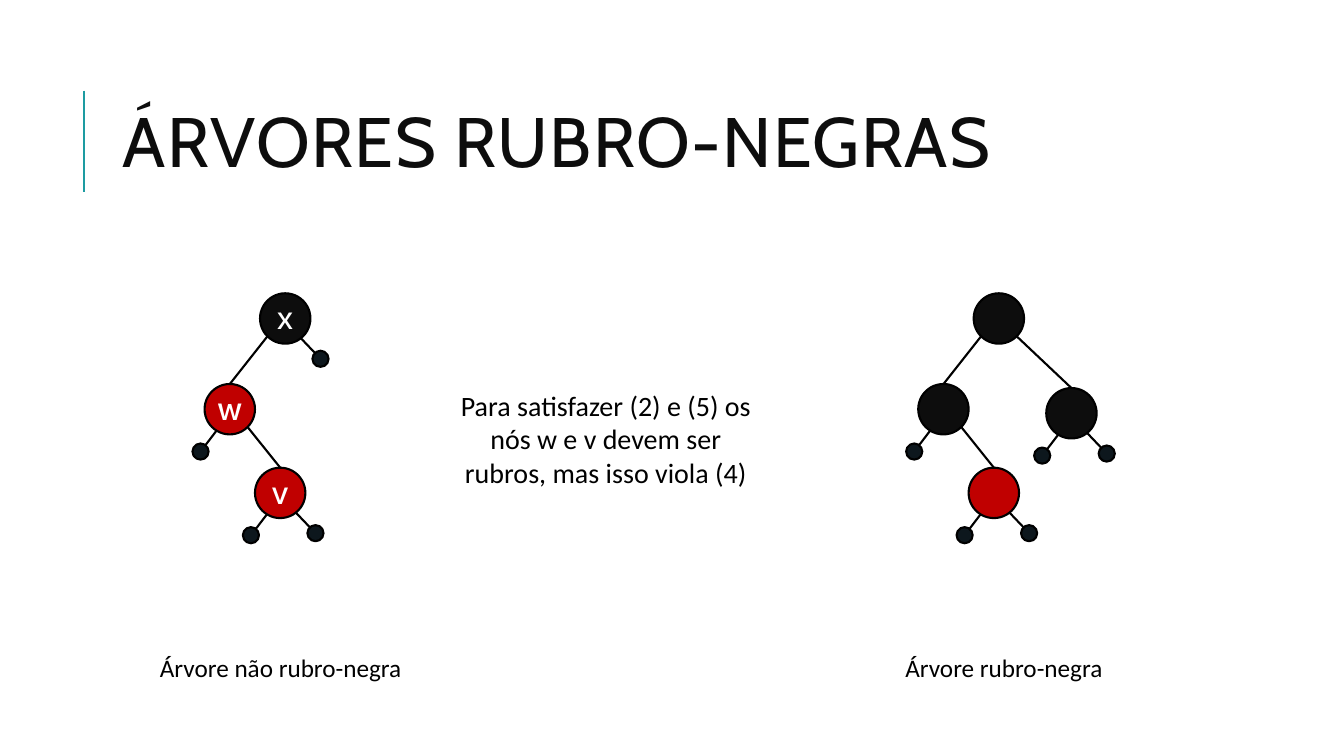
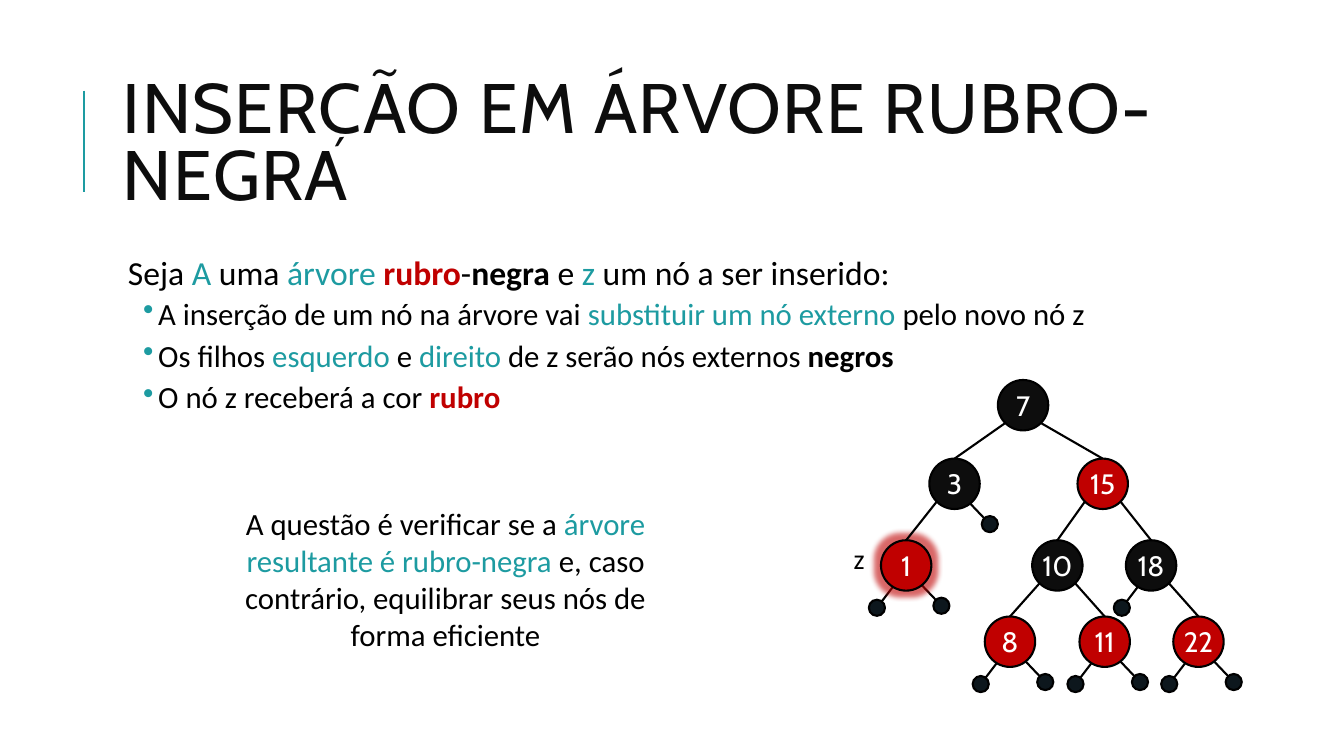
from pptx import Presentation
from pptx.dml.color import RGBColor
from pptx.enum.shapes import MSO_CONNECTOR, MSO_SHAPE
from pptx.enum.text import MSO_ANCHOR, MSO_AUTO_SIZE, PP_ALIGN
from pptx.oxml import parse_xml
from pptx.oxml.ns import nsdecls
from pptx.util import Pt

STRAIGHT = MSO_CONNECTOR.STRAIGHT
ELLIPSE = MSO_SHAPE.OVAL
LEFT, CENTER = PP_ALIGN.LEFT, PP_ALIGN.CENTER
MIDDLE, TOP = MSO_ANCHOR.MIDDLE, MSO_ANCHOR.TOP
FIXED, GROW = MSO_AUTO_SIZE.NONE, MSO_AUTO_SIZE.SHAPE_TO_FIT_TEXT

THEME = {
    "colors": {"ink": "0D0D0D", "text": "000000", "accent": "1D9BA1",
               "red": "C00000", "leaf": "0D171D", "white": "FFFFFF"},
    "title_font": "Cabin", "text_font": "Calibri",
    "title": 50, "lead": 24, "item": 22, "note": 20, "caption": 18,
    "line": 1.5,
}
COLORS = {name: RGBColor.from_string(code) for name, code in THEME["colors"].items()}

# Grid of 40 columns by 22.5 rows; every length below is in cells
CELL = 304800
COLUMNS, ROWS = 40, 22.5
TITLE_BOX = (3.36, 1.92, 31.89, 4.92)
BAR = ((2.5, 2.7), (2.5, 5.7))
NODE, LEAF = 1.5, 0.48
EDGE_STARTS = {"left": (0.22, 1.28), "right": (1.28, 1.28)}
LEAF_STARTS = {"left": (0.36, 1.38), "right": (1.2, 1.32)}
LEAF_OFFSETS = {"left": (-0.36, 1.77), "right": (1.56, 1.71)}
BOTH = ("left", "right")

# Text formats
CENTERED = {"alignment": CENTER}
LEAD = {"line_spacing": 0.9, "space_before": Pt(12), "space_after": Pt(2)}
ITEM = {"line_spacing": 0.9, "space_before": Pt(2), "space_after": Pt(4), "level": 1}
LEAD_INDENT, ITEM_INDENT, NOTE_INDENT = (0.3, 0), (1.2, -0.45), (1.5, 0)

# Paragraph: format, (margin, indent), bullet, size name, runs of (text, color, bold)
body_paragraphs = [
    (LEAD, LEAD_INDENT, "", "lead", [
        ("Seja ", "text", False), ("A", "accent", False), (" uma ", "text", False),
        ("árvore ", "accent", False), ("rubro", "red", True), ("-", "text", False),
        ("negra ", "text", True), ("e ", "text", False), ("z", "accent", False),
        (" um nó a ser inserido:", "text", False)]),
    (ITEM, ITEM_INDENT, "•", "item", [
        ("A inserção de um nó na árvore vai ", "text", False),
        ("substituir um nó externo", "accent", False),
        (" pelo novo nó z", "text", False)]),
    (ITEM, ITEM_INDENT, "•", "item", [
        ("Os filhos ", "text", False), ("esquerdo", "accent", False),
        (" e ", "text", False), ("direito", "accent", False),
        (" de z serão nós externos ", "text", False), ("negros", "text", True)]),
    (ITEM, ITEM_INDENT, "•", "item", [
        ("O nó z receberá a cor ", "text", False), ("rubro", "red", True)]),
]
question_paragraph = (CENTERED, NOTE_INDENT, "", "item", [
    ("A questão é verificar se a ", "text", False),
    ("árvore resultante é rubro-negra ", "accent", False),
    ("e, caso contrário, equilibrar seus nós de forma eficiente", "text", False)])
rule_paragraph = (CENTERED, (0, 0), "", "note", [
    ("Para satisfazer (2) e (5) os nós w e v devem ser rubros, mas isso viola (4)",
     "text", False)])
bad_caption, good_caption = [
    (CENTERED, (0, 0), "", "caption", [(caption, "text", False)])
    for caption in ("Árvore não rubro-negra", "Árvore rubro-negra")]
z_label = ({"alignment": LEFT}, (0, 0), "", "note", [("z", "text", False)])

# Node: label, offset from the root, color, parent, sides with a leaf
bad_tree = [
    ("x", 0, 0, "ink", None, ("right",)),
    ("w", -1.65, 2.7, "red", 0, ("left",)),
    ("v", -0.15, 5.19, "red", 1, BOTH),
]
good_tree = [
    ("", 0, 0, "ink", None, ()),
    ("", -1.65, 2.7, "ink", 0, ("left",)),
    ("", -0.15, 5.19, "red", 1, BOTH),
    ("", 2.16, 2.82, "ink", 0, BOTH),
]
insertion_tree = [
    ("7", 0, 0, "ink", None, ()),
    ("3", -2.04, 2.34, "ink", 0, ("right",)),
    ("15", 2.37, 2.34, "red", 0, ()),
    ("1", -3.48, 4.77, "red", 1, BOTH),
    ("10", 1.02, 4.77, "ink", 2, ()),
    ("18", 3.81, 4.77, "ink", 2, ("left",)),
    ("8", -0.39, 7.04, "red", 4, BOTH),
    ("11", 2.43, 7.04, "red", 4, BOTH),
    ("22", 5.22, 7.04, "red", 5, BOTH),
]

# Text: box, wraps, autofit, inset, paragraphs
# Tree: root position, label size name, bottom inset, inserted label, nodes
slides = [
    {"title": "ÁRVORES RUBRO-NEGRAS",
     "texts": [((4.41, 19.26, 7.89, 1.2), False, GROW, None, [bad_caption]),
               ((26.61, 19.26, 6.54, 1.2), False, GROW, None, [good_caption]),
               ((13.05, 11.4, 9.96, 3.33), True, GROW, None, [rule_paragraph])],
     "trees": [((7.74, 8.73), "lead", 0.12, None, bad_tree),
               ((28.98, 8.73), "lead", 0.12, None, good_tree)]},
    {"title": "INSERÇÃO EM ÁRVORE RUBRO-NEGRA",
     "texts": [((3.36, 7.5, 31.89, 13.2), True, FIXED, 0.15, body_paragraphs),
               ((4.95, 14.88, 15.12, 4.74), True, GROW, None, [question_paragraph]),
               ((25.11, 15.96, 0.96, 1.32), False, GROW, None, [z_label])],
     "trees": [((29.7, 11.31), "note", 0, "1", insertion_tree)]},
]


def add_line(slide, start, end, color="text"):
    line = slide.shapes.add_connector(
        STRAIGHT, *[int(CELL * value) for value in (*start, *end)])
    line.line.color.rgb = COLORS[color]
    line.line.width = Pt(THEME["line"])
    line._element.spPr.append(parse_xml(f"<a:effectLst {nsdecls('a')}/>"))
    return line


def write_runs(paragraph, runs, size, font="text_font"):
    for text, color, bold in runs:
        run = paragraph.add_run()
        run.text = text
        run.font.color.rgb = COLORS[color]
        values = {"name": THEME[font], "size": Pt(THEME[size]), "bold": bold}
        for name, value in values.items():
            setattr(run.font, name, value)


presentation = Presentation()
presentation.slide_width = int(COLUMNS * CELL)
presentation.slide_height = int(ROWS * CELL)
title_only = presentation.slide_layouts[5]

for content in slides:
    slide = presentation.slides.add_slide(title_only)
    add_line(slide, *BAR, color="accent")

    # Title
    title = slide.shapes.title
    for name, value in zip(("left", "top", "width", "height"), TITLE_BOX):
        setattr(title, name, int(CELL * value))
    title.text_frame.auto_size = FIXED
    title.text_frame.vertical_anchor = MIDDLE
    paragraph = title.text_frame.paragraphs[0]
    paragraph.alignment = LEFT
    paragraph.line_spacing = 0.8
    write_runs(paragraph, [(content["title"], "ink", False)], "title", "title_font")
    paragraph.runs[0].font._element.set("spc", "100")

    # Texts
    for box, wraps, autofit, inset, paragraphs in content["texts"]:
        frame = slide.shapes.add_textbox(*[int(CELL * value) for value in box]).text_frame
        frame_values = {"word_wrap": wraps, "auto_size": autofit, "vertical_anchor": TOP}
        if inset is not None:
            for side in ("left", "top", "right", "bottom"):
                frame_values[f"margin_{side}"] = int(CELL * inset)
        for name, value in frame_values.items():
            setattr(frame, name, value)
        for index, (values, indents, bullet, size, runs) in enumerate(paragraphs):
            paragraph = frame.add_paragraph() if index else frame.paragraphs[0]
            for name, value in values.items():
                setattr(paragraph, name, value)
            properties = paragraph._p.get_or_add_pPr()
            for name, value in zip(("marL", "indent"), indents):
                properties.set(name, str(int(CELL * value)))
            if bullet:
                accent = THEME["colors"]["accent"]
                for xml in (f'<a:buClr {nsdecls("a")}><a:srgbClr val="{accent}"/></a:buClr>',
                            f'<a:buChar {nsdecls("a")} char="{bullet}"/>'):
                    properties.append(parse_xml(xml))
            write_runs(paragraph, runs, size)

    # Trees
    for (root_column, root_row), size, bottom_inset, inserted, nodes in content["trees"]:
        circles = []
        for label, across, down, color, parent, leaf_sides in nodes:
            column, row = root_column + across, root_row + down

            # Leaf lines first, so that the circles cover their ends
            discs = [(column, row, NODE, color)]
            for side in leaf_sides:
                start = (column + LEAF_STARTS[side][0], row + LEAF_STARTS[side][1])
                leaf = (column + LEAF_OFFSETS[side][0], row + LEAF_OFFSETS[side][1])
                add_line(slide, start, [value + LEAF / 2 for value in leaf])
                discs.append((*leaf, LEAF, "leaf"))
            shapes = []
            for left, top, diameter, fill in discs:
                shape = slide.shapes.add_shape(
                    ELLIPSE, *[int(CELL * value) for value in (left, top, diameter, diameter)])
                shape.shadow.inherit = False
                shape.fill.solid()
                shape.fill.fore_color.rgb = COLORS[fill]
                shape.line.color.rgb = COLORS["text"]
                shape.line.width = Pt(THEME["line"])
                shapes.append(shape)
            circle = shapes[0]
            circles.append(circle)

            # Label
            if label:
                frame = circle.text_frame
                frame_values = {"margin_left": 0, "margin_top": 0, "margin_right": 0,
                                "margin_bottom": int(CELL * bottom_inset),
                                "vertical_anchor": MIDDLE, "word_wrap": True}
                for name, value in frame_values.items():
                    setattr(frame, name, value)
                frame.paragraphs[0].alignment = CENTER
                write_runs(frame.paragraphs[0], [(label, "white", False)], size, "title_font")

            # Glow around the inserted node
            if inserted and label == inserted:
                effects = circle._element.spPr.find(
                    "{http://schemas.openxmlformats.org/drawingml/2006/main}effectLst")
                effects.append(parse_xml(
                    f'<a:glow {nsdecls("a")} rad="101600">'
                    f'<a:srgbClr val="{THEME["colors"]["red"]}">'
                    '<a:alpha val="60000"/></a:srgbClr></a:glow>'))

            # Edge from the parent's lower corner to the top of this node
            if parent is not None:
                parent_across, parent_down = nodes[parent][1:3]
                corner = EDGE_STARTS["left" if across < parent_across else "right"]
                start = (root_column + parent_across + corner[0],
                         root_row + parent_down + corner[1])
                edge = add_line(slide, start, (column + NODE / 2, row))
                edge.end_connect(circle, 0)

presentation.save("out.pptx")
